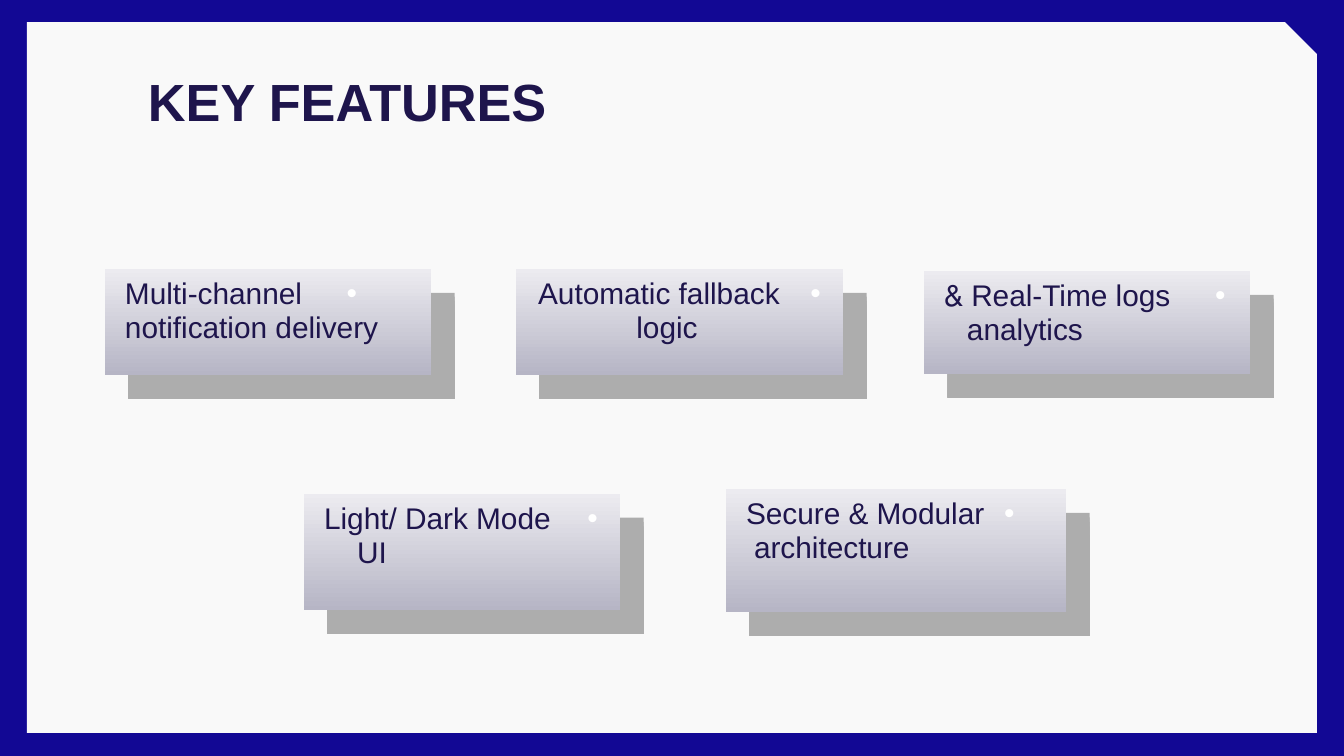
from dataclasses import dataclass

from lxml import etree
from pptx import Presentation, util as u
from pptx.dml.color import RGBColor
from pptx.enum import shapes, text
from pptx.oxml import ns

PX = 914400 / 134.4
FONT = "Arial"
HUES = {"frame": "120894", "panel": "F9F9F9", "ink": "1E154C",
        "light": "ECEBF0", "dark": "B6B5C5", "dot": "FFFFFF",
        "shade": "000000"}


@dataclass
class Card:
    x: int
    y: int
    w: int
    h: int
    lines: tuple[str, str]
    gap: int  # room for the dot right of the first line
    tail: int  # indent of the second line
    mid: bool = False


CARDS = [
    Card(105, 269, 326, 106, ("Multi-channel", "notification delivery"), 55, 0),
    Card(516, 269, 327, 106, ("Automatic fallback", "logic"), 41, 25, True),
    Card(924, 271, 326, 103, ("Real-Time logs &", "analytics"), 55, 23),
    Card(304, 494, 316, 116, ("Light/ Dark Mode", "UI"), 47, 33),
    Card(726, 489, 340, 123, ("Secure & Modular", "architecture"), 30, 8),
]


def px(n: float) -> int:
    return round(n * PX)


def rgb(name: str) -> RGBColor:
    return RGBColor.from_string(HUES[name])


def sub(node, tag: str, **attrs):
    return etree.SubElement(node, ns.qn(tag), attrs)


def style(para, size: int, bold: bool = False) -> None:
    for run in para.runs:
        run.font.name = FONT
        run.font.size = u.Pt(size)
        run.font.bold = bold
        run.font.color.rgb = rgb("ink")


def pad(frame, top: int) -> None:
    frame.word_wrap = True
    frame.auto_size = text.MSO_AUTO_SIZE.NONE
    frame.vertical_anchor = text.MSO_ANCHOR.TOP
    frame.margin_left = frame.margin_right = px(13)
    frame.margin_top, frame.margin_bottom = px(top), px(7)


def indent(para, left: int, hang: int, rtl: bool) -> None:
    props = para._p.get_or_add_pPr()
    props.set("marL", str(px(left)))
    props.set("indent", str(px(-hang)))
    props.set("rtl", str(int(rtl)))


def draw_panel(slide) -> None:
    pen = slide.shapes.build_freeform(27, 22, scale=PX)
    pen.add_line_segments([(1285, 22), (1317, 54), (1317, 733), (27, 733)])
    panel = pen.convert_to_shape()
    panel.fill.solid()
    panel.fill.fore_color.rgb = rgb("panel")
    panel.line.fill.background()
    panel.shadow.inherit = False
    slide.shapes._spTree.insert(2, panel._element)  # behind the title


def draw_title(slide) -> None:
    title = slide.shapes.title
    title.left, title.top = px(135), px(66)
    title.width, title.height = px(1104), px(85)
    title.text_frame.text = "KEY FEATURES"
    pad(title.text_frame, 7)
    para = title.text_frame.paragraphs[0]
    para.alignment = text.PP_ALIGN.LEFT
    para.line_spacing = 0.96
    style(para, 28, True)


def draw_card(slide, card: Card) -> None:
    group = slide.shapes.add_group_shape()

    # Gradient plate with a hard offset shadow
    plate = group.shapes.add_shape(shapes.MSO_SHAPE.RECTANGLE, px(card.x),
                                   px(card.y), px(card.w), px(card.h))
    plate.fill.gradient()
    plate.fill.gradient_angle = 270
    for stop, name, pos in zip(plate.fill.gradient_stops,
                               ("light", "dark"), (0, 1)):
        stop.color.rgb = rgb(name)
        stop.position = pos
    plate.line.fill.background()
    plate.shadow.inherit = False
    glow = plate._element.spPr.find(ns.qn("a:effectLst"))
    cast = sub(glow, "a:outerShdw", blurRad="0", dist=str(u.Pt(18)),
               dir="2700000", algn="tl", rotWithShape="0")
    shade = sub(cast, "a:srgbClr", val=HUES["shade"])
    sub(shade, "a:alpha", val="30000")

    # Label: the first line carries the dot on its right
    box = group.shapes.add_textbox(px(card.x + 7), px(card.y),
                                   px(card.w - 14), px(card.h))
    frame = box.text_frame
    pad(frame, 8)
    frame.text = "\n".join(card.lines)
    first, last = frame.paragraphs
    indent(first, card.gap, card.gap, True)
    indent(last, card.tail, 0, card.mid)
    for para in (first, last):
        para.alignment = (text.PP_ALIGN.CENTER if card.mid
                          else text.PP_ALIGN.LEFT)
        para.line_spacing = 0.96
        style(para, 16)
    props = first._p.get_or_add_pPr()
    sub(sub(props, "a:buClr"), "a:srgbClr", val=HUES["dot"])
    sub(props, "a:buFont", typeface=FONT)
    sub(props, "a:buChar", char="•")


def main() -> None:
    deck = Presentation()
    deck.slide_width, deck.slide_height = px(1344), px(756)
    slide = deck.slides.add_slide(deck.slide_layouts[5])
    slide.background.fill.solid()
    slide.background.fill.fore_color.rgb = rgb("frame")
    draw_panel(slide)
    draw_title(slide)
    for card in CARDS:
        draw_card(slide, card)
    deck.save("out.pptx")


if __name__ == "__main__":
    main()
